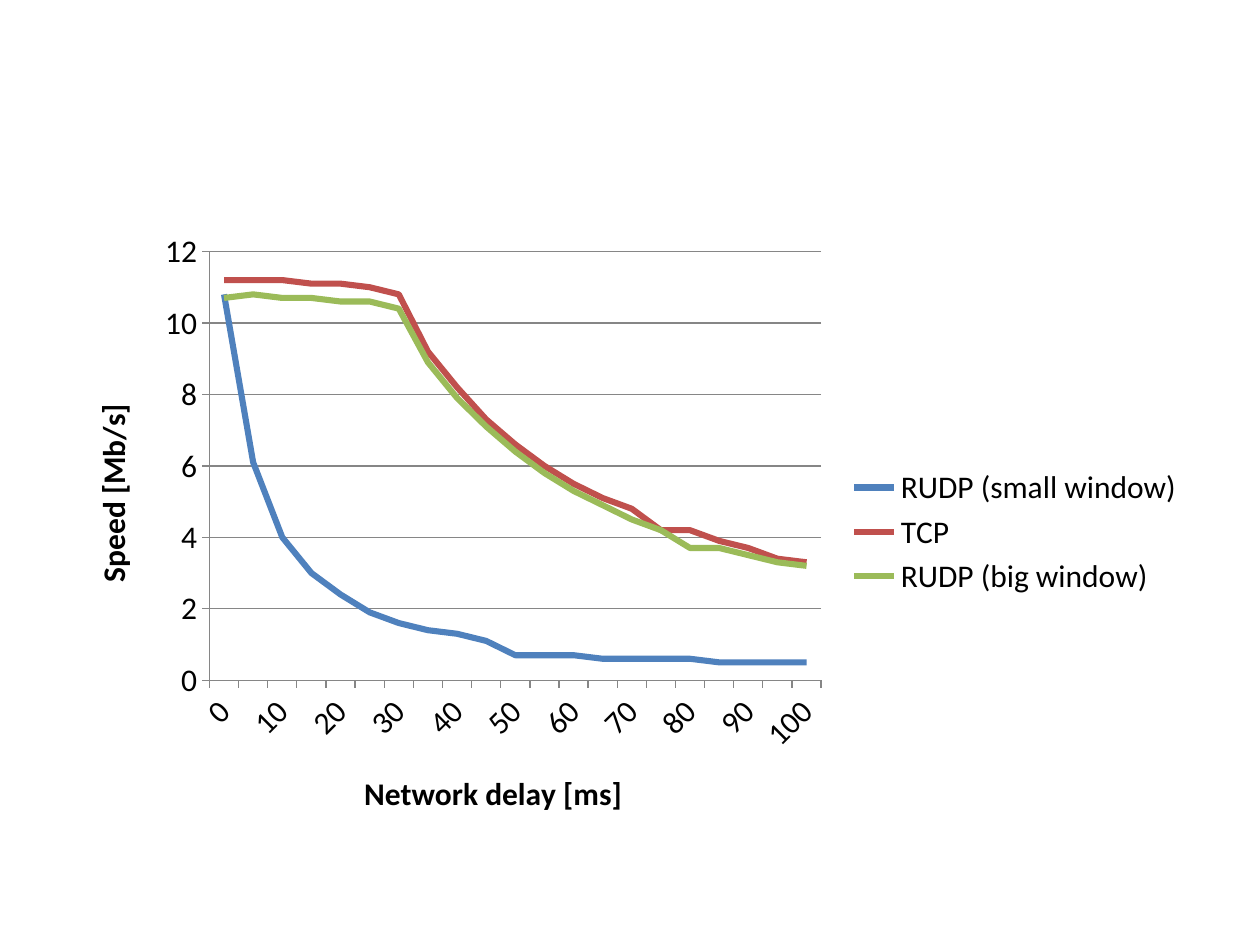
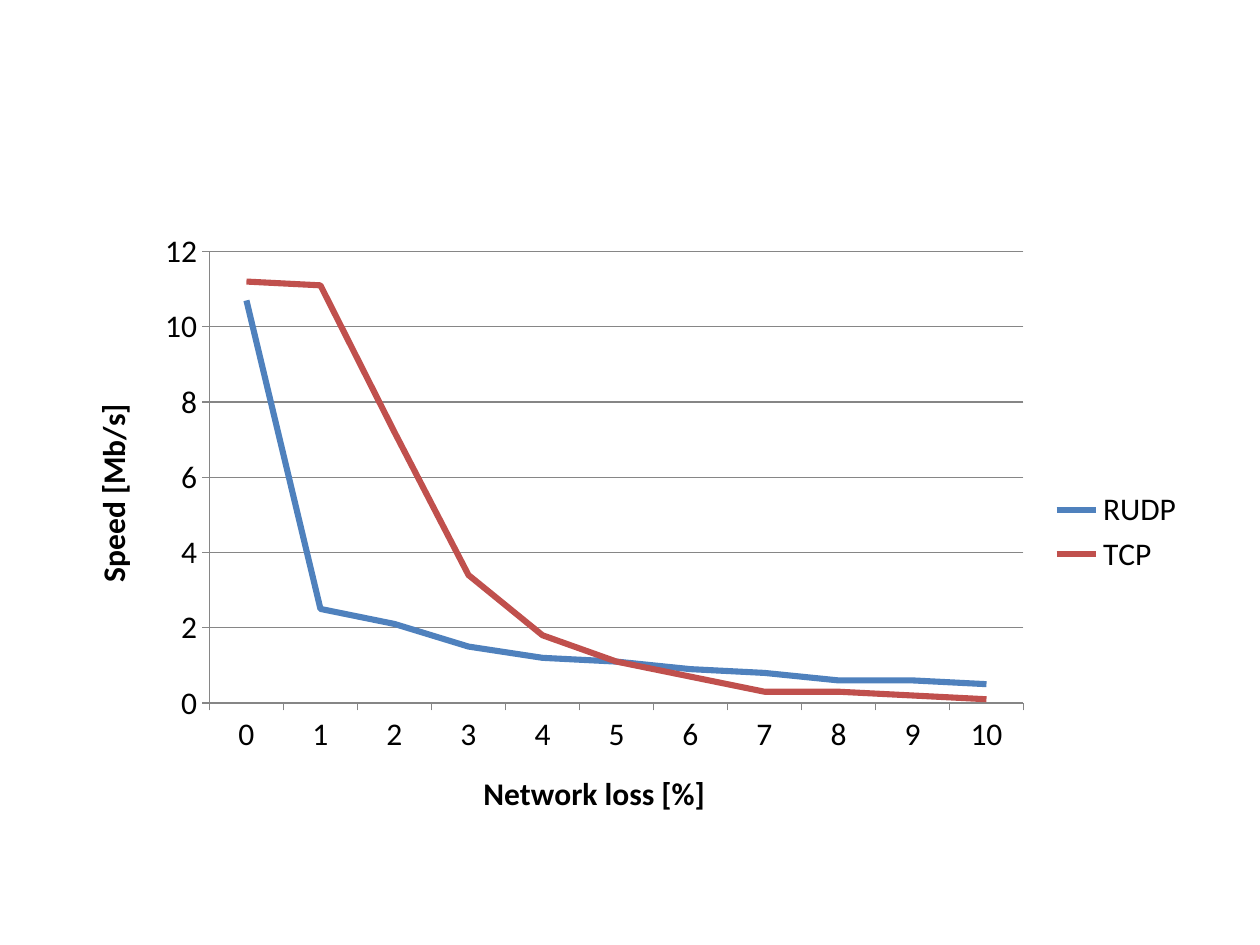
from pptx import Presentation
from pptx.chart.data import CategoryChartData
from pptx.dml.color import RGBColor
from pptx.enum.chart import XL_CHART_TYPE, XL_LEGEND_POSITION, XL_MARKER_STYLE, XL_TICK_MARK
from pptx.oxml import parse_xml
from pptx.oxml.ns import nsdecls
from pptx.util import Emu, Pt

LINE = XL_CHART_TYPE.LINE
RIGHT = XL_LEGEND_POSITION.RIGHT
NO_MARKER = XL_MARKER_STYLE.NONE
OUTSIDE, NO_TICK = XL_TICK_MARK.OUTSIDE, XL_TICK_MARK.NONE

PIXEL = 914400 / 126
FONT = "Calibri"
TEXT_SIZE = 18
COLORS = {
    "text": "000000",
    "axis": "868686",
    "blue": "4F81BD",
    "red": "C0504D",
    "green": "9BBB59",
}
SERIES_COLORS = ["blue", "red", "green"]
CHART_FRAME = (63, 220, 1134, 624)
VALUE_TITLE = "Speed [Mb/s]"
VALUE_SCALE = {"minimum_scale": 0, "maximum_scale": 12, "major_unit": 2}

CHARTS = [
    {
        "category_title": "Network delay [ms]",
        "categories": range(0, 101, 5),
        "label_skip": 2,
        "label_rotation": -45,
        "series": {
            "RUDP (small window)": [
                10.8, 6.1, 4, 3, 2.4, 1.9, 1.6, 1.4, 1.3, 1.1, 0.7,
                0.7, 0.7, 0.6, 0.6, 0.6, 0.6, 0.5, 0.5, 0.5, 0.5],
            "TCP": [
                11.2, 11.2, 11.2, 11.1, 11.1, 11, 10.8, 9.2, 8.2, 7.3, 6.6,
                6, 5.5, 5.1, 4.8, 4.2, 4.2, 3.9, 3.7, 3.4, 3.3],
            "RUDP (big window)": [
                10.7, 10.8, 10.7, 10.7, 10.6, 10.6, 10.4, 8.9, 7.9, 7.1, 6.4,
                5.8, 5.3, 4.9, 4.5, 4.2, 3.7, 3.7, 3.5, 3.3, 3.2],
        },
    },
    {
        "category_title": "Network loss [%]",
        "categories": range(11),
        "label_skip": 1,
        "label_rotation": 0,
        "series": {
            "RUDP": [10.7, 2.5, 2.1, 1.5, 1.2, 1.1, 0.9, 0.8, 0.6, 0.6, 0.5],
            "TCP": [11.2, 11.1, 7.2, 3.4, 1.8, 1.1, 0.7, 0.3, 0.3, 0.2, 0.1],
        },
    },
]


def style_font(font, bold):
    """Give a font the shared typeface, size and colour."""
    for name, value in {"name": FONT, "size": Pt(TEXT_SIZE), "bold": bold}.items():
        setattr(font, name, value)
    font.color.rgb = RGBColor.from_string(COLORS["text"])


def style_line(line, color, width):
    """Set the colour and the width in points of a line."""
    line.color.rgb = RGBColor.from_string(COLORS[color])
    line.width = Pt(width)


deck = Presentation()
deck.slide_width = Emu(round(1260 * PIXEL))
deck.slide_height = Emu(round(945 * PIXEL))
blank_layout = deck.slide_layouts[6]

for content in CHARTS:
    page = deck.slides.add_slide(blank_layout)
    data = CategoryChartData(number_format="General")
    data.categories = content["categories"]
    for name, values in content["series"].items():
        data.add_series(name, values)
    frame = [Emu(round(length * PIXEL)) for length in CHART_FRAME]
    chart = page.shapes.add_chart(LINE, *frame, data).chart

    chart.has_title = False
    style_font(chart.font, False)
    chart.has_legend = True
    chart.legend.position = RIGHT
    chart.legend.include_in_layout = False

    chart.plots[0].vary_by_categories = False
    for series, color in zip(chart.plots[0].series, SERIES_COLORS):
        series.smooth = False
        series.marker.style = NO_MARKER
        style_line(series.format.line, color, 3.5)

    category_axis, value_axis = chart.category_axis, chart.value_axis
    axis_titles = [(category_axis, content["category_title"]), (value_axis, VALUE_TITLE)]
    for axis, title in axis_titles:
        axis.major_tick_mark = OUTSIDE
        axis.minor_tick_mark = NO_TICK
        style_line(axis.format.line, "axis", 0.75)
        style_font(axis.tick_labels.font, False)
        para = axis.axis_title.text_frame.paragraphs[0]
        span = para.add_run()
        span.text = title
        style_font(span.font, True)

    category_axis.has_major_gridlines = False
    value_axis.has_major_gridlines = True
    style_line(value_axis.major_gridlines.format.line, "axis", 0.75)
    for name, value in VALUE_SCALE.items():
        setattr(value_axis, name, value)

    # Text rotation is counted in 60000ths of a degree
    rotations = {
        "c:valAx/c:title//a:bodyPr": -90,
        "c:catAx/c:txPr/a:bodyPr": content["label_rotation"],
    }
    for target, degrees in rotations.items():
        for body in chart.element.xpath(".//" + target):
            body.set("rot", str(degrees * 60000))
            body.set("vert", "horz")
    label_skip = parse_xml(
        f'<c:tickLblSkip {nsdecls("c")} val="{content["label_skip"]}"/>')
    chart.element.xpath(".//c:catAx/c:noMultiLvlLbl")[0].addprevious(label_skip)

deck.save("out.pptx")
